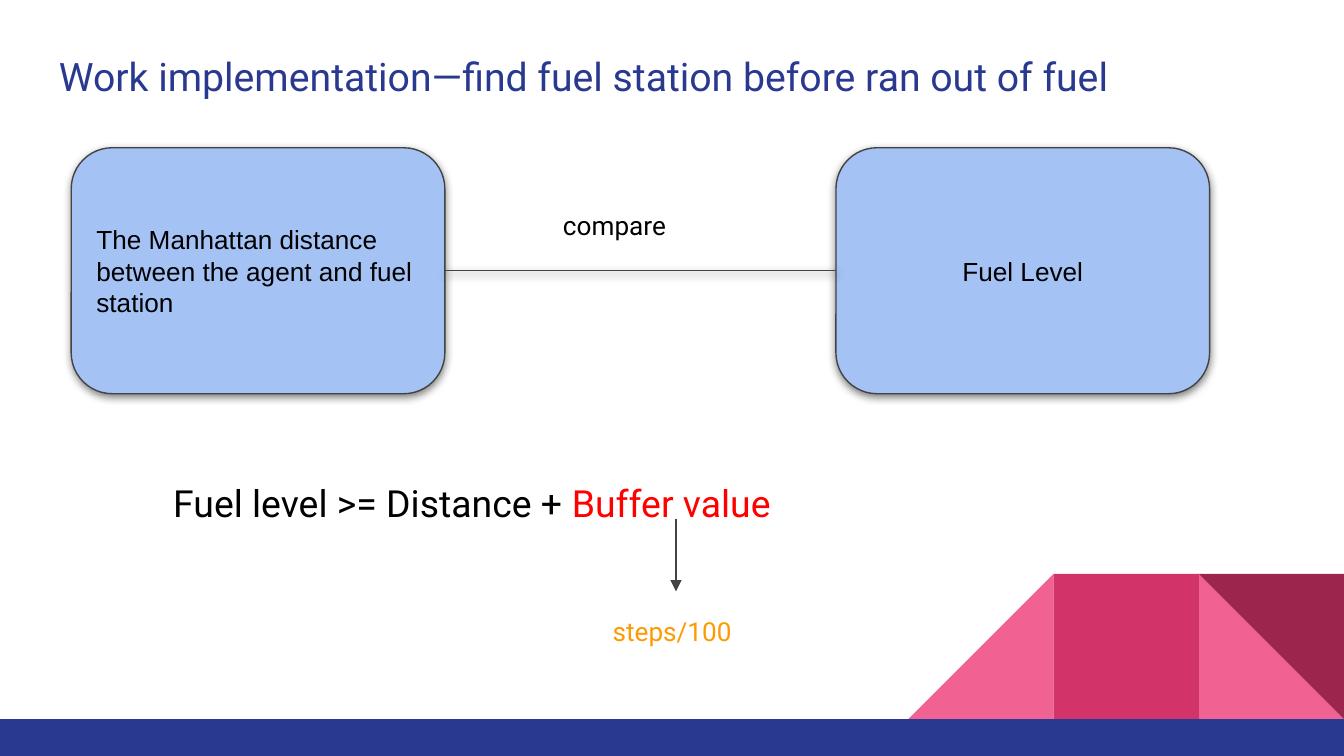
from lxml import etree
from pptx import Presentation
from pptx.dml.color import RGBColor
from pptx.enum.shapes import MSO_CONNECTOR, MSO_SHAPE
from pptx.enum.text import MSO_ANCHOR, PP_ALIGN
from pptx.oxml.ns import qn
from pptx.util import Inches, Pt

STRAIGHT = MSO_CONNECTOR.STRAIGHT
RECTANGLE = MSO_SHAPE.RECTANGLE
ROUNDED = MSO_SHAPE.ROUNDED_RECTANGLE
TRIANGLE = MSO_SHAPE.RIGHT_TRIANGLE
MIDDLE = MSO_ANCHOR.MIDDLE
LEFT, CENTER = PP_ALIGN.LEFT, PP_ALIGN.CENTER
LEFT_SIDE, RIGHT_SIDE = 1, 3

NAVY = RGBColor(0x2A, 0x39, 0x90)
PINK = RGBColor(0xF0, 0x62, 0x92)
ROSE = RGBColor(0xD2, 0x33, 0x69)
WINE = RGBColor(0x9C, 0x25, 0x4D)
SKY = RGBColor(0xA4, 0xC2, 0xF4)
GRAY = RGBColor(0x43, 0x43, 0x43)
BLACK = RGBColor(0, 0, 0)
RED = RGBColor(0xFF, 0, 0)
ORANGE = RGBColor(0xFF, 0x99, 0)


class SlideBuilder:
    """Draws the elements of one slide in a shared style."""

    def __init__(self, slide):
        self.shapes = slide.shapes
        self.font = "Roboto"
        self.box_font = "Arial"
        self.box_size = 14
        self.line_width = Pt(0.75)
        self.inset = Inches(0.1)

    def _style_run(self, run, font, size, color):
        run.font.name = font
        run.font.size = Pt(size)
        run.font.color.rgb = color

    def _set_insets(self, frame):
        frame.word_wrap = True
        frame.margin_left = frame.margin_right = self.inset
        frame.margin_top = frame.margin_bottom = self.inset

    def _add_shadow(self, effects):
        shadow = etree.SubElement(effects, qn("a:outerShdw"), blurRad=str(Pt(4.5)),
                                  dist=str(Pt(1.5)), dir="5400000",
                                  algn="bl", rotWithShape="0")
        color = etree.SubElement(shadow, qn("a:srgbClr"), val="000000")
        etree.SubElement(color, qn("a:alpha"), val="50000")

    def block(self, kind, left, top, width, height, fill, rotation=0, flip=False):
        block = self.shapes.add_shape(kind, Inches(left), Inches(top),
                                      Inches(width), Inches(height))
        block.shadow.inherit = False
        block.fill.solid()
        block.fill.fore_color.rgb = fill
        block.line.fill.background()
        block.rotation = rotation
        if flip:
            block._element.spPr.find(qn("a:xfrm")).set("flipH", "1")
        return block

    def box(self, left, top, width, height, text, align):
        box = self.block(ROUNDED, left, top, width, height, SKY)
        box.line.color.rgb = GRAY
        box.line.width = self.line_width
        self._add_shadow(box._element.spPr.find(qn("a:effectLst")))
        frame = box.text_frame
        self._set_insets(frame)
        frame.vertical_anchor = MIDDLE
        frame.text = text
        paragraph = frame.paragraphs[0]
        paragraph.alignment = align
        self._style_run(paragraph.runs[0], self.box_font, self.box_size, BLACK)
        return box

    def text(self, left, top, width, height, size, *parts):
        frame = self.shapes.add_textbox(Inches(left), Inches(top), Inches(width),
                                        Inches(height)).text_frame
        self._set_insets(frame)
        for words, color in parts:
            run = frame.paragraphs[0].add_run()
            run.text = words
            self._style_run(run, self.font, size, color)

    def line(self, x1, y1, x2, y2, arrow=False, shadow=False):
        line = self.shapes.add_connector(STRAIGHT, Inches(x1), Inches(y1),
                                         Inches(x2), Inches(y2))
        line.line.color.rgb = GRAY
        line.line.width = self.line_width
        if arrow:
            etree.SubElement(line.line._get_or_add_ln(), qn("a:tailEnd"), type="triangle")
        effects = etree.SubElement(line._element.spPr, qn("a:effectLst"))
        if shadow:
            self._add_shadow(effects)
        return line


def main():
    deck = Presentation()
    deck.slide_width, deck.slide_height = Inches(10), Inches(5.625)
    page = SlideBuilder(deck.slides.add_slide(deck.slide_layouts[6]))

    tile, tile_top = 1.08, 4.27
    tile_lefts = [10 - tile * count for count in (3, 2, 1)]
    page.block(TRIANGLE, tile_lefts[2], tile_top, tile, tile, PINK)
    page.block(TRIANGLE, tile_lefts[0], tile_top, tile, tile, PINK, flip=True)
    page.block(RECTANGLE, tile_lefts[1], tile_top, tile, tile, ROSE)
    page.block(TRIANGLE, tile_lefts[2], tile_top, tile, tile, WINE, rotation=180)
    page.block(RECTANGLE, 0, 5.35, 10, 0.28, NAVY)

    page.text(0.34, 0.29, 9.32, 0.66, 21,
              ("Work implementation—find fuel station before ran out of fuel", NAVY))

    distance = page.box(0.53, 1.1, 2.78, 1.83,
                        "The Manhattan distance between the agent and fuel station", LEFT)
    fuel_level = page.box(6.22, 1.1, 2.78, 1.83, "Fuel Level", CENTER)
    comparison = page.line(3.31, 2.01, 6.22, 2.01, shadow=True)
    comparison.begin_connect(distance, RIGHT_SIDE)
    comparison.end_connect(fuel_level, LEFT_SIDE)
    page.text(4.09, 1.46, 0.98, 0.44, 14, ("compare", BLACK))

    page.text(1.19, 3.47, 6.97, 0.54, 20,
              ("Fuel level >= Distance + ", BLACK), ("Buffer value", RED))
    page.line(5.03, 3.86, 5.03, 4.4, arrow=True)
    page.text(4.46, 4.48, 1.14, 0.44, 14, ("steps/100", ORANGE))

    deck.save("out.pptx")


if __name__ == "__main__":
    main()
